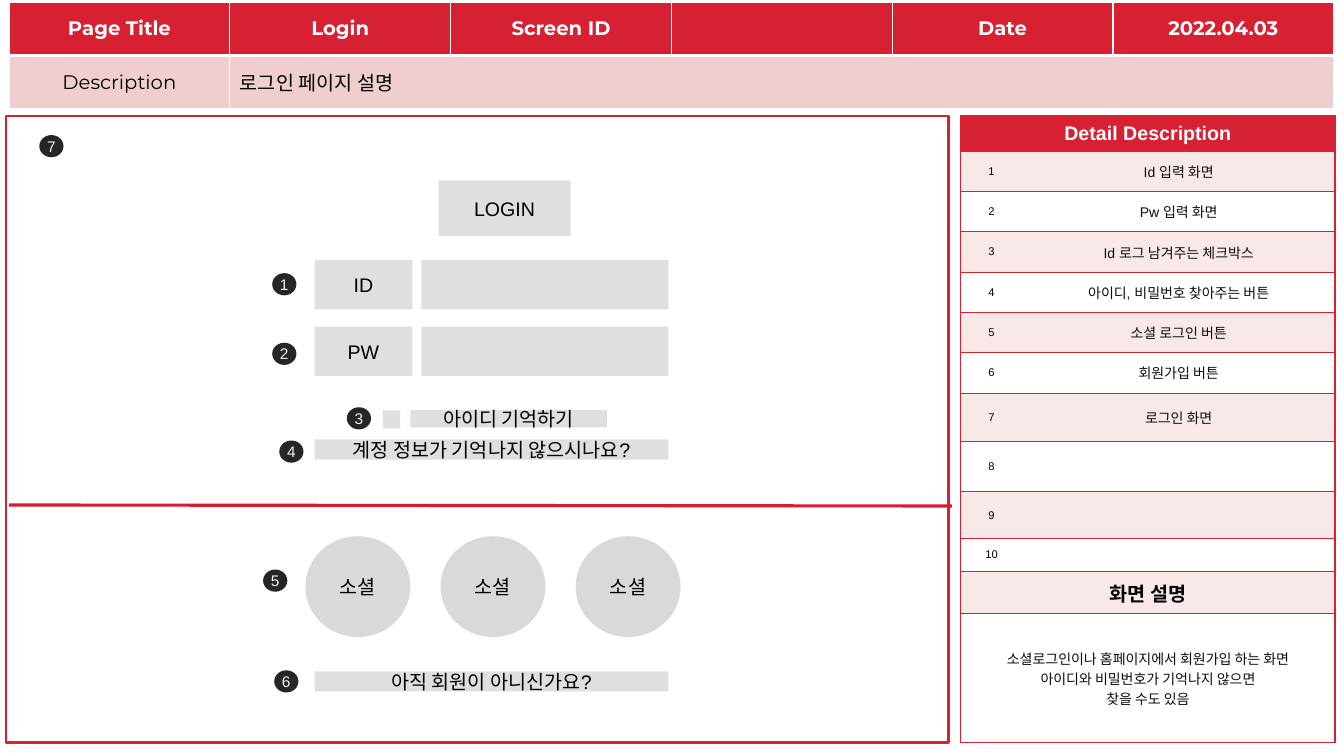
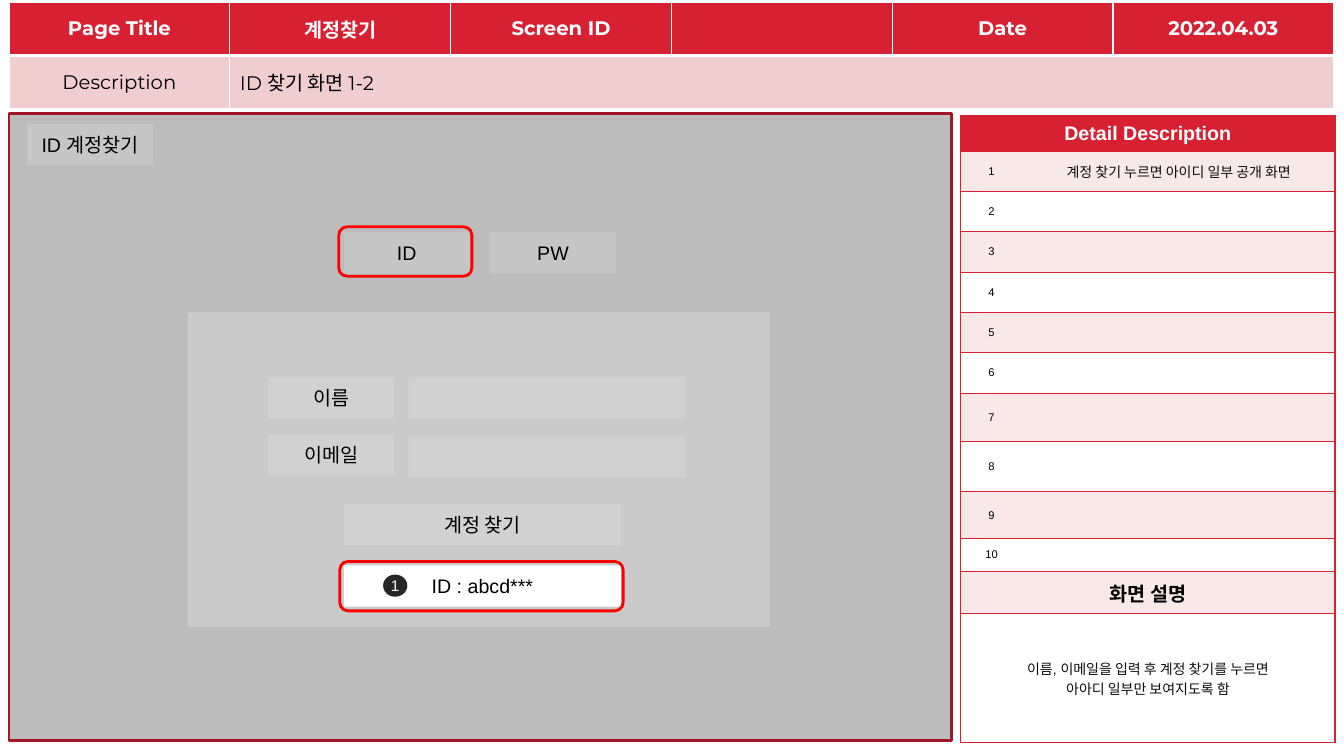
from dataclasses import dataclass

from lxml import etree
from pptx import Presentation
from pptx.dml.color import RGBColor
from pptx.enum.shapes import MSO_CONNECTOR, MSO_SHAPE
from pptx.enum.text import MSO_ANCHOR, PP_ALIGN
from pptx.oxml.ns import qn
from pptx.util import Inches, Pt

RECT, ROUND, OVAL = MSO_SHAPE.RECTANGLE, MSO_SHAPE.ROUNDED_RECTANGLE, MSO_SHAPE.OVAL
STRAIGHT = MSO_CONNECTOR.STRAIGHT
LEFT, CENTER = PP_ALIGN.LEFT, PP_ALIGN.CENTER
MIDDLE = MSO_ANCHOR.MIDDLE


@dataclass(frozen=True)
class Theme:
    red: str = "D82033"
    rule: str = "D81B2E"
    dark: str = "A01826"
    alert: str = "FF0000"
    rose: str = "F0CDCE"
    blush: str = "F8E8E8"
    white: str = "FFFFFF"
    black: str = "000000"
    ink: str = "0D0D0D"
    box: str = "DFDFDF"
    disc: str = "D9D9D9"
    shade: str = "808080"
    badge: str = "262626"
    digit: str = "F2F2F2"
    head: str = "Montserrat"
    body: str = "Arial"
    big: int = 14
    mark: int = 11
    text: int = 10
    small: int = 8


T = Theme()
ROWS = [0.35] + [0.4] * 6 + [0.48, 0.5, 0.46, 0.33, 0.42, 1.28]


class Deck:
    def __init__(self):
        self.prs = Presentation()
        self.prs.slide_width, self.prs.slide_height = Inches(13.33), Inches(7.5)
        self.slide = None

    def page(self):
        self.slide = self.prs.slides.add_slide(self.prs.slide_layouts[6])

    def label(self, frame, text, size=T.big, color=T.black, font=T.body,
              bold=False, align=CENTER):
        frame.text = text
        look = {"size": Pt(size), "name": font, "bold": bold}
        for para in frame.paragraphs:
            para.alignment = align
            for run in para.runs:
                for key, value in look.items():
                    setattr(run.font, key, value)
                run.font.color.rgb = RGBColor.from_string(color)
            if not para.runs:
                etree.SubElement(para._p, qn("a:endParaRPr"), sz=str(size * 100))

    def shape(self, x, y, w, h, text="", kind=RECT, fill=T.box, alpha=100,
              line=None, weight=2, inset=0.05, **style):
        item = self.slide.shapes.add_shape(
            kind, Inches(x), Inches(y), Inches(w), Inches(h))
        item.shadow.inherit = False
        if fill:
            item.fill.solid()
            item.fill.fore_color.rgb = RGBColor.from_string(fill)
            if alpha < 100:
                color = item._element.spPr.find(
                    qn("a:solidFill") + "/" + qn("a:srgbClr"))
                etree.SubElement(color, qn("a:alpha"), val=str(alpha * 1000))
        else:
            item.fill.background()
        if line:
            item.line.color.rgb = RGBColor.from_string(line)
            item.line.width = Pt(weight)
        else:
            item.line.fill.background()
        if text:
            frame = item.text_frame
            frame.vertical_anchor = MIDDLE
            for side in ("left", "right", "top", "bottom"):
                setattr(frame, "margin_" + side, Inches(inset))
            self.label(frame, text, **style)

    def badge(self, num, x, y):
        self.shape(x, y, 0.24, 0.22, str(num), OVAL, T.badge, inset=0,
                   size=T.mark, color=T.digit)

    def line(self, x1, y1, x2, y2, color, weight):
        item = self.slide.shapes.add_connector(
            STRAIGHT, Inches(x1), Inches(y1), Inches(x2), Inches(y2))
        item.line.color.rgb = RGBColor.from_string(color)
        item.line.width = Pt(weight)
        etree.SubElement(item._element.spPr, qn("a:effectLst"))

    def table(self, x, y, cols, rows):
        shape = self.slide.shapes.add_table(
            len(rows), len(cols), Inches(x), Inches(y),
            Inches(sum(cols)), Inches(sum(rows)))
        grid = shape.table
        grid.first_row = grid.horz_banding = False
        for parts, sizes, key in ((grid.columns, cols, "width"),
                                  (grid.rows, rows, "height")):
            for part, size in zip(parts, sizes):
                setattr(part, key, Inches(size))
        return grid

    def cell(self, cell, text, fill, edges, **style):
        """Fill a cell; edges maps L, R, T, B to (colour or None, points)."""
        cell.fill.solid()
        cell.fill.fore_color.rgb = RGBColor.from_string(fill)
        cell.vertical_anchor = MIDDLE
        self.label(cell.text_frame, text, **style)
        props = cell._tc.get_or_add_tcPr()
        for spot, side in enumerate("LRTB"):
            color, weight = edges[side]
            edge = etree.Element(qn("a:ln" + side), w=str(int(Pt(weight))))
            if color:
                paint = etree.SubElement(edge, qn("a:solidFill"))
                etree.SubElement(paint, qn("a:srgbClr"), val=color)
            else:
                etree.SubElement(edge, qn("a:noFill"))
            props.insert(spot, edge)

    def header(self, title, about):
        grid = self.table(0.09, 0.02, [2.19] * 6, [0.53] * 2)
        thin, thick = (T.white, 1), (T.white, 3)
        top = ["Page Title", title, "Screen ID", "", "Date", "2022.04.03"]
        low = ["Description", about, "", "", "", ""]
        for col, text in enumerate(top):
            self.cell(grid.cell(0, col), text, T.red,
                      {"L": thin, "R": thin, "T": thin, "B": thick},
                      color=T.white, font=T.head, bold=True)
        for col, text in enumerate(low):
            self.cell(grid.cell(1, col), text, T.rose,
                      {"L": thin, "R": thin, "T": thick, "B": thin},
                      font=T.head, align=LEFT if col else CENTER)
        grid.cell(1, 1).merge(grid.cell(1, 5))

    def detail(self, notes, about):
        grid = self.table(9.53, 1.15, [0.61, 3.1], ROWS)
        red, none = (T.red, 1), (None, 1)
        frame = dict.fromkeys("LRTB", red)
        wide = {
            0: ("Detail Description", T.red, {"color": T.white, "bold": True}),
            11: ("화면 설명", T.blush, {"bold": True}),
            12: (about, T.white, {"size": T.text, "color": T.ink}),
        }
        for row, (text, fill, style) in wide.items():
            grid.cell(row, 0).merge(grid.cell(row, 1))
            self.cell(grid.cell(row, 0), text, fill, frame, **style)
            self.cell(grid.cell(row, 1), "", fill, frame, size=T.small)
        for num in range(1, 11):
            fill = T.blush if num % 2 else T.white
            note = notes[num - 1] if num <= len(notes) else ""
            self.cell(grid.cell(num, 0), str(num), fill, {**frame, "R": none},
                      size=T.small)
            self.cell(grid.cell(num, 1), note, fill, {**frame, "L": none},
                      size=T.text, color=T.ink)


def login(deck):
    deck.page()
    deck.header("Login", "로그인 페이지 설명")
    deck.detail(
        ["Id 입력 화면", "Pw 입력 화면", "Id 로그 남겨주는 체크박스",
         "아이디, 비밀번호 찾아주는 버튼", "소셜 로그인 버튼", "회원가입 버튼",
         "로그인 화면"],
        "소셜로그인이나 홈페이지에서 회원가입 하는 화면\n"
        "아이디와 비밀번호가 기억나지 않으면\n찾을 수도 있음")
    deck.shape(0.06, 1.15, 9.35, 6.22, fill=T.white, line=T.red)
    deck.shape(4.35, 1.79, 1.31, 0.55, "LOGIN")
    for y, name in ((2.58, "ID"), (3.24, "PW")):
        deck.shape(3.12, y, 0.97, 0.49, name)
        deck.shape(4.18, y, 2.45, 0.49)
    deck.shape(3.8, 4.07, 0.17, 0.18)
    deck.shape(4.07, 4.07, 1.95, 0.17, "아이디 기억하기")
    deck.shape(3.12, 4.36, 3.51, 0.2, "계정 정보가 기억나지 않으시나요?")
    deck.line(0.09, 5.01, 9.44, 5.02, T.rule, 2.25)
    for col in range(3):
        deck.shape(3.03 + 1.34 * col, 5.32, 1.04, 1, "소셜", OVAL, T.disc)
    deck.shape(3.12, 6.66, 3.51, 0.2, "아직 회원이 아니신가요?")
    spots = [(2.7, 2.71), (2.7, 3.4), (3.44, 4.04), (2.77, 4.37),
             (2.61, 5.65), (2.72, 6.65), (0.39, 1.34)]
    for num, (x, y) in enumerate(spots, 1):
        deck.badge(num, x, y)


def find(deck):
    deck.page()
    deck.header("계정찾기", "ID 찾기 화면 1-2")
    deck.detail(["계정 찾기 누르면 아이디 일부 공개 화면"],
                "이름, 이메일을 입력 후 계정 찾기를 누르면\n"
                "아아디 일부만 보여지도록 함")
    deck.shape(0.09, 1.13, 9.35, 6.22, fill=T.shade, alpha=52, line=T.dark)
    for x, y, name in ((0.27, 1.23, "ID 계정찾기"), (3.41, 2.3, "ID"),
                       (4.86, 2.3, "PW")):
        deck.shape(x, y, 1.25, 0.41, name, alpha=31)
    deck.shape(1.86, 3.1, 5.78, 3.12, alpha=42)
    fields = [(2.66, 3.74, 1.25, "이름"), (4.05, 3.74, 2.75, ""),
              (2.66, 4.31, 1.25, "이메일"), (4.05, 4.33, 2.75, ""),
              (3.41, 5, 2.75, "계정 찾기")]
    for x, y, w, name in fields:
        deck.shape(x, y, w, 0.41, name, fill=T.white, alpha=14)
    deck.shape(3.41, 5.61, 2.75, 0.41, "ID : abcd***", fill=T.white)
    deck.badge(1, 3.8, 5.7)
    for x, y, w in ((3.36, 2.25, 1.32), (3.37, 5.57, 2.81)):
        deck.shape(x, y, w, 0.49, kind=ROUND, fill=None, line=T.alert)


def main():
    deck = Deck()
    login(deck)
    find(deck)
    deck.prs.save("out.pptx")


if __name__ == "__main__":
    main()
